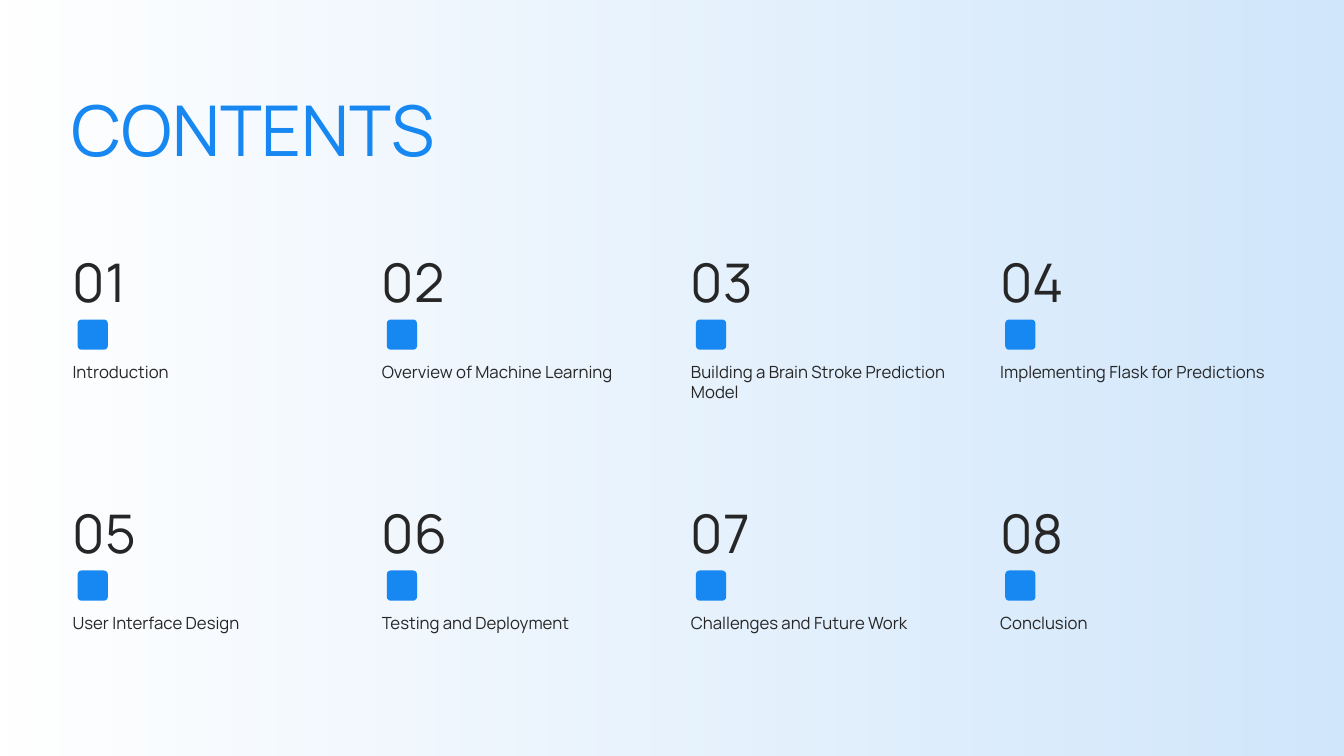
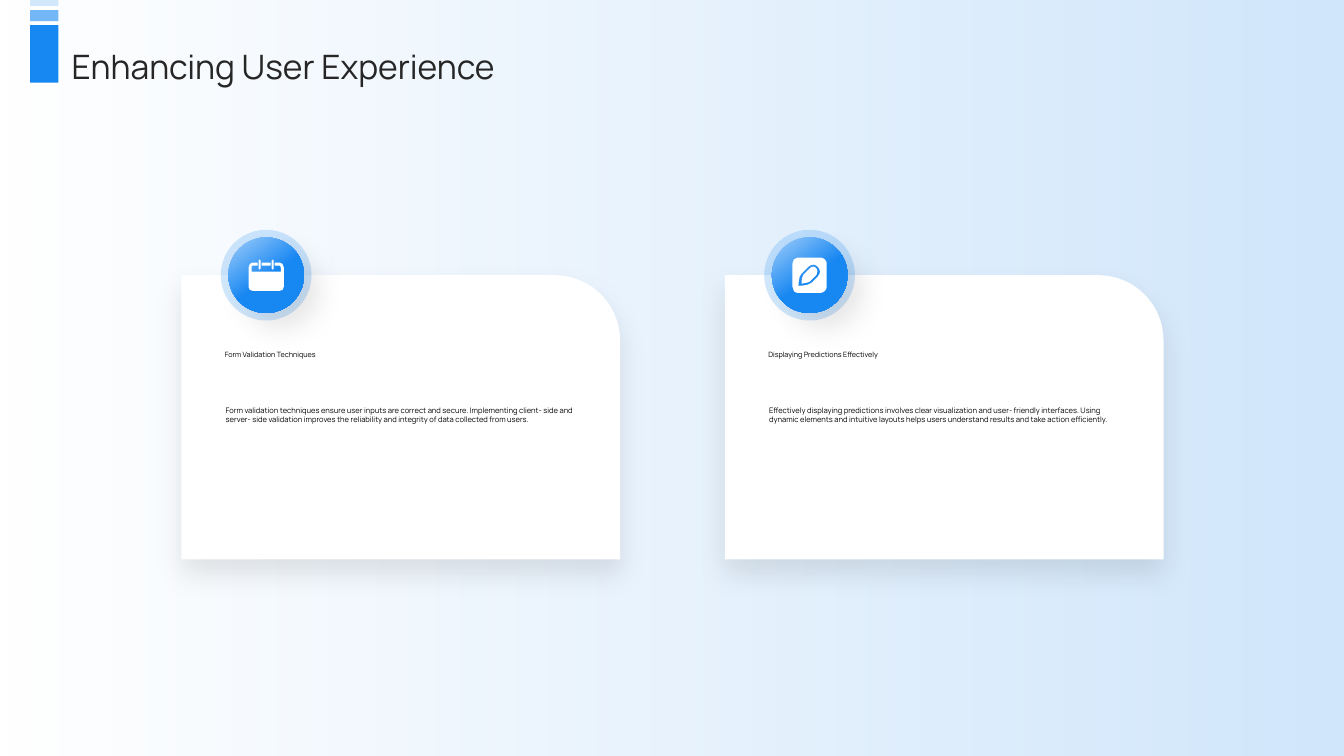
import dataclasses

import lxml.etree
import pptx
import pptx.dml.color
import pptx.enum.shapes
import pptx.enum.text
import pptx.oxml.ns
import pptx.util

PX = 9144
SHAPE = pptx.enum.shapes.MSO_SHAPE
ANCHOR = pptx.enum.text.MSO_ANCHOR
qn = pptx.oxml.ns.qn


@dataclasses.dataclass(frozen=True)
class Theme:
    font: str = "Manrope"
    blue: str = "1787F2"
    sky: str = "74B7F7"
    glow: str = "A2CFFA"
    pale: str = "D1E7FC"
    white: str = "FFFFFF"
    ink: str = "262626"
    black: str = "000000"
    cover_size: float = 50
    number_size: float = 38
    title_size: float = 24
    label_size: float = 12
    body_size: float = 5.4
    heading_size: float = 5.2


THEME = Theme()
SLIDE_SIZE = (1333, 750)

CONTENTS_TITLE = "CONTENTS"
TOPICS = [
    "Introduction",
    "Overview of Machine Learning",
    "Building a Brain Stroke Prediction Model",
    "Implementing Flask for Predictions",
    "User Interface Design",
    "Testing and Deployment",
    "Challenges and Future Work",
    "Conclusion",
]
TOPIC_COLUMNS = 4
TOPIC_LEFTS = (72, 992)
TOPIC_TOP = 247
TOPIC_ROW_PITCH = 249


def pin(x):
    return [(x, 0), (x + 1, 0, x + 1, 0, x + 1, 1), (x + 1, 9),
            (x + 1, 9, x + 1, 10, x, 10), (x - 1, 10, x - 1, 9, x - 1, 9),
            (x - 1, 1), (x - 1, 0, x - 1, 0, x, 0)]


CALENDAR_ICON = [
    [(13, 3), (22, 3), (22, 6), (13, 6)],
    [(4, 3), (9, 3), (9, 6), (4, 6), (3, 6, 3, 7, 3, 8), (3, 12), (32, 12),
     (32, 8), (32, 7, 31, 6, 31, 6), (26, 6), (26, 3), (31, 3),
     (33, 3, 35, 5, 35, 8), (35, 27), (35, 30, 33, 31, 31, 31), (4, 31),
     (2, 31, 0, 30, 0, 27), (0, 8), (0, 5, 2, 3, 4, 3)],
    pin(24),
    pin(11),
]
PEN_ICON = [
    [(21, 9), (22, 9, 23, 10, 24, 11), (25, 12, 25, 15, 24, 17), (17, 24),
     (16, 25, 12, 25, 9, 26), (9, 22, 10, 18, 11, 17), (17, 11),
     (18, 10, 19, 9, 21, 9)],
    [(21, 7), (19, 7, 17, 8, 16, 9), (9, 16), (6, 18, 6, 28, 6, 28),
     (6, 28, 16, 28, 19, 25), (25, 19), (28, 16, 28, 12, 25, 9),
     (24, 8, 22, 7, 21, 7)],
    [(5, 0), (28, 0), (31, 0, 34, 3, 34, 6), (34, 29),
     (34, 32, 31, 35, 28, 35), (5, 35), (2, 35, 0, 32, 0, 29), (0, 6),
     (0, 3, 2, 0, 5, 0)],
]

EXPERIENCE_TITLE = "Enhancing User Experience"
CARDS = [
    ("Form Validation Techniques",
     "Form validation techniques ensure user inputs are correct and secure. "
     "Implementing client- side and server- side validation improves the "
     "reliability and integrity of data collected from users.",
     CALENDAR_ICON),
    ("Displaying Predictions Effectively",
     "Effectively displaying predictions involves clear visualization and "
     "user- friendly interfaces. Using dynamic elements and intuitive layouts "
     "helps users understand results and take action efficiently.",
     PEN_ICON),
]
CARD_ORIGIN = (180, 273)
CARD_SIZE = (435, 282)
CARD_PITCH = 539
BADGE_OFFSET = (84, 0)
HALO_SIZE = 90
DISC_SIZE = 75
BARS = [(25, 57, THEME.blue), (10, 11, THEME.sky), (0, 6, THEME.pale)]


def emu(*lengths):
    return [round(length * PX) for length in lengths]


def rgb(color):
    return pptx.dml.color.RGBColor.from_string(color)


def set_gradient(fill, stops, angle):
    fill.gradient()
    fill.gradient_angle = angle
    for stop, (position, color) in zip(fill.gradient_stops, stops):
        stop.position = position
        stop.color.rgb = rgb(color)


def add_alpha(color_element, percent):
    lxml.etree.SubElement(color_element, qn("a:alpha"), val=str(percent * 1000))


def fill_colors(shape):
    return shape._element.spPr.findall(".//" + qn("a:srgbClr"))


def add_shadow(shape, alpha, blur, distance, angle):
    effects = shape._element.spPr.find(qn("a:effectLst"))
    shadow = lxml.etree.SubElement(
        effects, qn("a:outerShdw"), blurRad=str(pptx.util.Pt(blur)),
        dist=str(pptx.util.Pt(distance)), dir=str(angle * 60000),
        algn="ctr", rotWithShape="0")
    color = lxml.etree.SubElement(shadow, qn("a:srgbClr"), val=THEME.black)
    add_alpha(color, alpha)


def paint(shape, color):
    shape.shadow.inherit = False
    shape.line.fill.background()
    shape.fill.solid()
    shape.fill.fore_color.rgb = rgb(color)
    return shape


def add_block(page, kind, area, color):
    return paint(page.shapes.add_shape(kind, *emu(*area)), color)


def add_disc(page, center, size, color):
    x, y = center
    area = (x - size / 2, y - size / 2, size, size)
    return add_block(page, SHAPE.OVAL, area, color)


def write(box, text, size, color, anchor=ANCHOR.TOP, inset=(0, 0)):
    frame = box.text_frame
    frame.word_wrap = True
    frame.auto_size = pptx.enum.text.MSO_AUTO_SIZE.NONE
    frame.vertical_anchor = anchor
    frame.margin_left = frame.margin_right = inset[0] * PX
    frame.margin_top = frame.margin_bottom = inset[1] * PX
    frame.text = text
    para = frame.paragraphs[0]
    para.alignment = pptx.enum.text.PP_ALIGN.LEFT
    para.font.name = THEME.font
    para.font.size = pptx.util.Pt(size)
    para.font.color.rgb = rgb(color)


def add_text(page, area, *args, **style):
    write(page.shapes.add_textbox(*emu(*area)), *args, **style)


def add_backdrop(page):
    backdrop = add_block(page, SHAPE.FLOWCHART_PROCESS, (0, 0, *SLIDE_SIZE), THEME.pale)
    set_gradient(backdrop.fill, [(0, THEME.pale), (1, THEME.pale)], 180)
    add_alpha(fill_colors(backdrop)[-1], 0)
    page.shapes._spTree.insert(2, backdrop._element)


def add_page(deck, area, *args, **style):
    page = deck.slides.add_slide(deck.slide_layouts[5])
    title = page.shapes.title
    title.left, title.top, title.width, title.height = emu(*area)
    write(title, *args, **style)
    add_backdrop(page)
    return page


def bend(line, segment):
    curve = lxml.etree.Element(qn("a:cubicBezTo"))
    for x, y in zip(segment[::2], segment[1::2]):
        lxml.etree.SubElement(curve, qn("a:pt"), x=str(x * PX), y=str(y * PX))
    line.getparent().replace(line, curve)


def add_icon(page, center, contours):
    corners = [[segment[-2:] for segment in contour] for contour in contours]
    width, height = (max(point[axis] for contour in corners for point in contour)
                     for axis in (0, 1))
    builder = page.shapes.build_freeform(*emu(*corners[0][0]), scale=1.0)
    for index, contour in enumerate(corners):
        if index:
            builder.move_to(*emu(*contour[0]))
        builder.add_line_segments([emu(*point) for point in contour[1:]], close=True)
    origin = emu(center[0] - width / 2, center[1] - height / 2)
    icon = paint(builder.convert_to_shape(*origin), THEME.white)
    lines = icon._element.spPr.findall(".//" + qn("a:lnTo"))
    segments = [segment for contour in contours for segment in contour[1:]]
    for line, segment in zip(lines, segments):
        if len(segment) == 6:
            bend(line, segment)


def add_contents(deck):
    page = add_page(deck, (71, 85, 455, 84), CONTENTS_TITLE, THEME.cover_size,
                    THEME.blue, anchor=ANCHOR.BOTTOM)
    first, last = TOPIC_LEFTS
    for index, topic in enumerate(TOPICS):
        row, column = divmod(index, TOPIC_COLUMNS)
        x = first + (last - first) * column / (TOPIC_COLUMNS - 1)
        y = TOPIC_TOP + row * TOPIC_ROW_PITCH
        add_text(page, (x, y, 157, 63), f"{index + 1:02d}", THEME.number_size, THEME.ink)
        add_text(page, (x, y + 112, 268, 99), topic, THEME.label_size, THEME.ink)
        square = add_block(page, SHAPE.ROUNDED_RECTANGLE, (x + 5, y + 70, 30, 30), THEME.blue)
        square.adjustments[0] = 0.13


def add_card(page, x, y, heading, body, icon):
    panel = add_block(page, SHAPE.ROUND_1_RECTANGLE, (x, y, *CARD_SIZE), THEME.white)
    panel.adjustments[0] = 0.23
    add_shadow(panel, alpha=10, blur=20, distance=10, angle=90)
    add_text(page, (x + 43, y + 75, 126, 8), heading, THEME.heading_size, THEME.black,
             anchor=ANCHOR.MIDDLE)
    add_text(page, (x + 34, y + 119, 371, 39), body, THEME.body_size, THEME.black,
             anchor=ANCHOR.MIDDLE, inset=(10, 5))
    center = (x + BADGE_OFFSET[0], y + BADGE_OFFSET[1])
    halo = add_disc(page, center, HALO_SIZE, THEME.blue)
    add_alpha(fill_colors(halo)[0], 20)
    disc = add_disc(page, center, DISC_SIZE, THEME.blue)
    set_gradient(disc.fill, [(0, THEME.glow), (0.54, THEME.blue)], 306)
    add_shadow(disc, alpha=10, blur=20, distance=15, angle=45)
    add_icon(page, center, icon)


def add_experience(deck):
    page = add_page(deck, (61, 41, 1256, 46), EXPERIENCE_TITLE, THEME.title_size,
                    THEME.ink, inset=(10, 5))
    for index, card in enumerate(CARDS):
        add_card(page, CARD_ORIGIN[0] + index * CARD_PITCH, CARD_ORIGIN[1], *card)
    for top, height, color in BARS:
        add_block(page, SHAPE.RECTANGLE, (30, top, 28, height), color)


def main():
    deck = pptx.Presentation()
    deck.slide_width, deck.slide_height = emu(*SLIDE_SIZE)
    add_contents(deck)
    add_experience(deck)
    deck.save("out.pptx")


if __name__ == "__main__":
    main()
